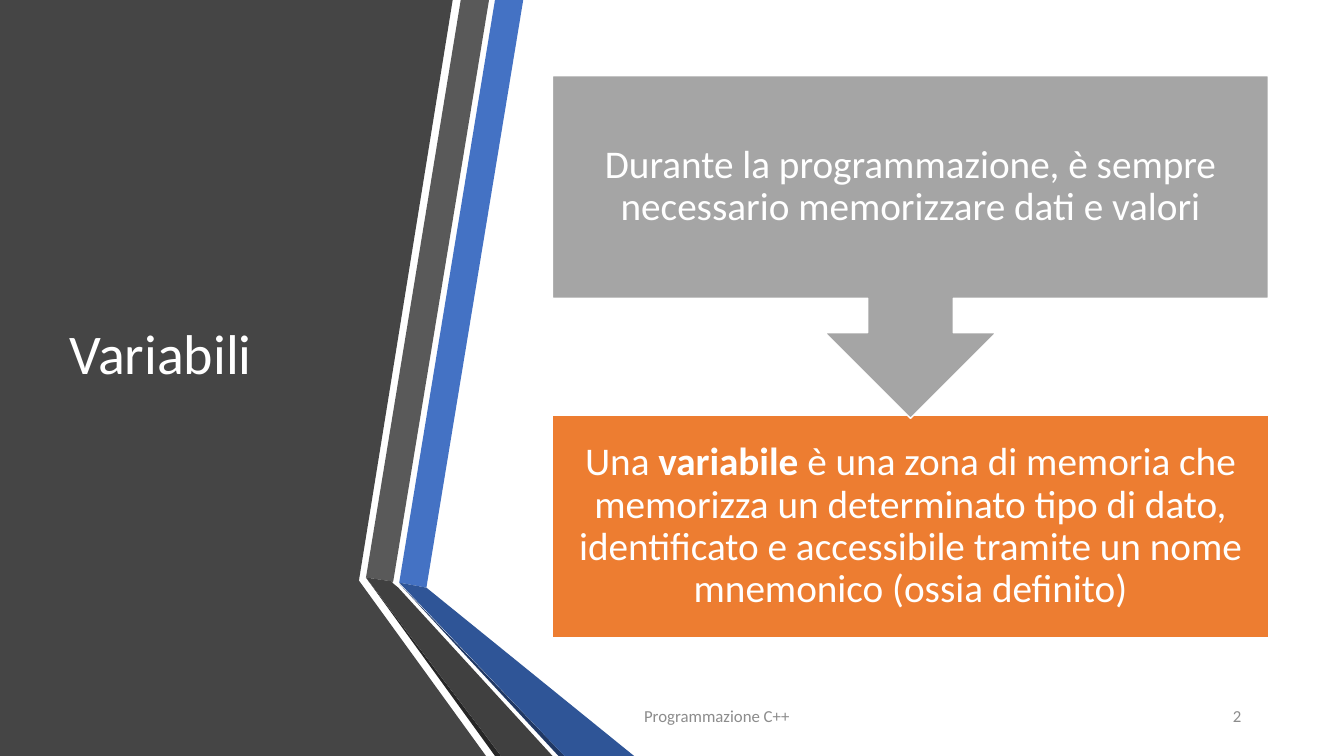
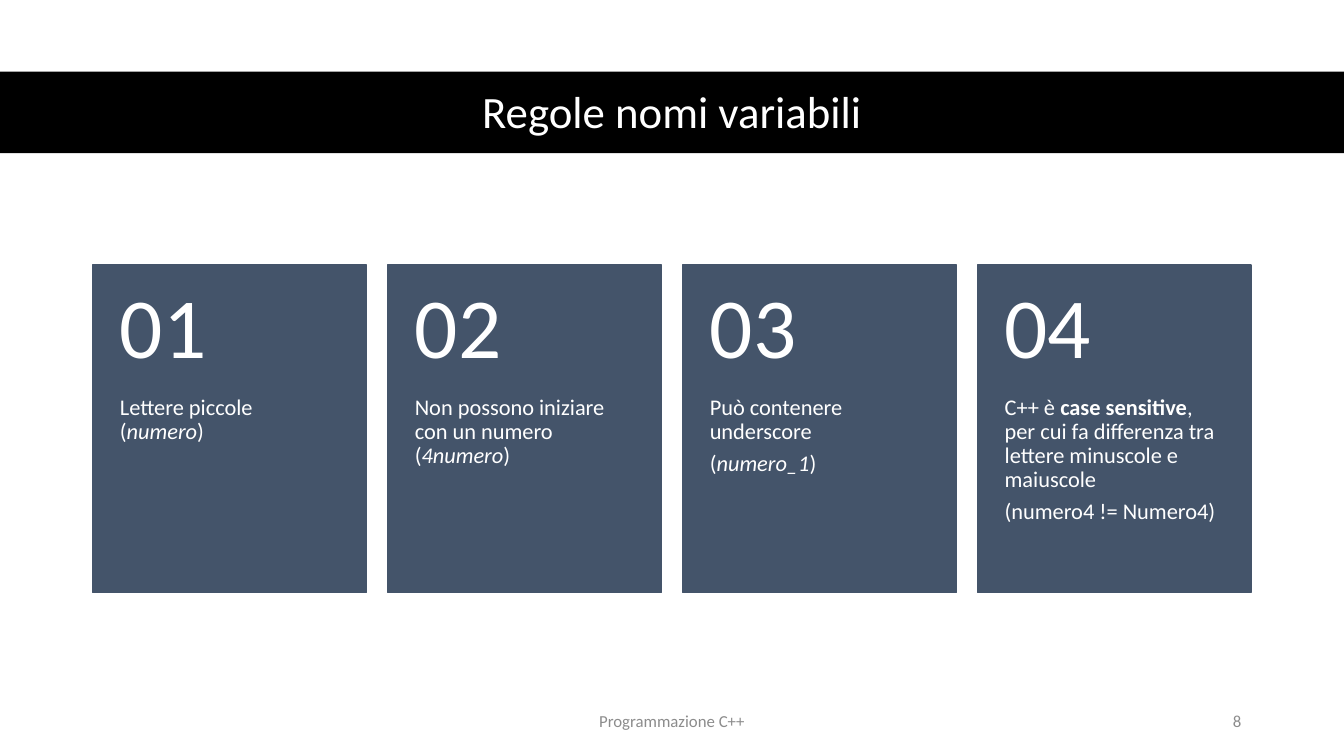
"""Build two slides on variables in C++: their purpose and their naming rules."""
from dataclasses import dataclass

from pptx import Presentation
from pptx import util as u
from pptx.dml.color import RGBColor
from pptx.enum import shapes, text

WIDTH, HEIGHT = 13.33, 7.5
MARGIN = 0.92
CONTENT = WIDTH - 2 * MARGIN
LEFT, CENTER, RIGHT = text.PP_ALIGN.LEFT, text.PP_ALIGN.CENTER, text.PP_ALIGN.RIGHT
TOP, MIDDLE = text.MSO_ANCHOR.TOP, text.MSO_ANCHOR.MIDDLE
RECTANGLE = shapes.MSO_SHAPE.RECTANGLE


@dataclass(frozen=True)
class Theme:
    font: str = "Calibri"
    white: str = "FFFFFF"
    black: str = "000000"
    muted: str = "8C8C8C"
    panel: str = "454545"
    blue: str = "4472C4"
    blue_dark: str = "2F5597"
    blue_edge: str = "203864"
    gray: str = "595959"
    gray_dark: str = "404040"
    gray_edge: str = "262626"
    premise: str = "A5A5A5"
    definition: str = "ED7D31"
    card: str = "44546A"
    side_title: int = 40
    band_title: int = 32
    statement: int = 28
    number: int = 61
    rule: int = 16
    footer: int = 12


THEME = Theme()

RIBBONS = [
    (THEME.panel, [(0, 0), (4.49, 0), (3.56, 5.76), (4.82, 7.5), (0, 7.5)]),
    (THEME.blue, [(3.96, 5.78), (4.23, 5.83), (5.19, 0), (4.91, 0)]),
    (THEME.gray, [(4.85, 0), (4.57, 0), (3.63, 5.73), (3.9, 5.77)]),
    (THEME.gray_edge, [(3.63, 5.73), (4.91, 7.5), (4.97, 7.5)]),
    (THEME.blue_edge, [(3.96, 5.79), (5.54, 7.5), (5.6, 7.5)]),
    (THEME.blue_dark, [(3.96, 5.78), (5.6, 7.5), (6.29, 7.5), (4.23, 5.83)]),
    (THEME.gray_dark, [(5.48, 7.5), (3.95, 5.83), (3.89, 5.78), (3.9, 5.77),
                       (3.63, 5.73), (4.97, 7.5)]),
]

PREMISE = [[("Durante la programmazione, è sempre necessario memorizzare dati e valori", "")]]
DEFINITION = [[
    ("Una ", ""), ("variabile", "b"),
    (" è una zona di memoria che memorizza un determinato tipo di dato, identificato e "
     "accessibile tramite un nome mnemonico (ossia definito)", ""),
]]
RULES = [
    [[("Lettere piccole (", ""), ("numero", "i"), (")", "")]],
    [[("Non possono iniziare con un numero (", ""), ("4numero", "i"), (")", "")]],
    [[("Può contenere underscore", "")], [("(", ""), ("numero_1", "i"), (")", "")]],
    [[("C++ è ", ""), ("case sensitive", "b"),
      (", per cui fa differenza tra lettere minuscole e maiuscole ", "")],
     [("(numero4 != Numero4)", "")]],
]


def inches(*lengths):
    """Convert lengths in inches to slide units."""
    return [u.Inches(length) for length in lengths]


def paint(figure, fill, line=None):
    """Give a shape a flat fill and an optional thin outline."""
    figure.shadow.inherit = False
    figure.fill.solid()
    figure.fill.fore_color.rgb = RGBColor.from_string(fill)
    if line:
        figure.line.color.rgb = RGBColor.from_string(line)
        figure.line.width = u.Pt(1)
    else:
        figure.line.fill.background()


def add_block(slide, kind, box, fill, line=None):
    """Add a painted preset shape."""
    block = slide.shapes.add_shape(kind, *inches(*box))
    paint(block, fill, line)
    return block


def add_ribbon(slide, fill, corners):
    """Add a painted polygon through the given corners."""
    start, *others = [inches(*corner) for corner in corners]
    outline = slide.shapes.build_freeform(*start)
    outline.add_line_segments(others)
    paint(outline.convert_to_shape(), fill)


def add_text(slide, box, paragraphs, size, color=THEME.white, align=LEFT, anchor=MIDDLE,
             insets=(0.1, 0.05, 0.1, 0.05), spacing=0.9, after=0.0):
    """Add wrapped text whose runs are pairs of wording and style."""
    frame = slide.shapes.add_textbox(*inches(*box)).text_frame
    frame.word_wrap = True
    frame.vertical_anchor = anchor
    (frame.margin_left, frame.margin_top,
     frame.margin_right, frame.margin_bottom) = inches(*insets)
    for index, runs in enumerate(paragraphs):
        paragraph = frame.add_paragraph() if index else frame.paragraphs[0]
        paragraph.alignment = align
        paragraph.line_spacing = spacing
        paragraph.space_after = u.Pt(after)
        paragraph.font.name = THEME.font
        paragraph.font.size = u.Pt(size)
        paragraph.font.color.rgb = RGBColor.from_string(color)
        for wording, style in runs:
            run = paragraph.add_run()
            run.text = wording
            if style == "b":
                run.font.bold = True
            elif style == "i":
                run.font.italic = True


def add_title(slide, box, wording, size, align=LEFT):
    """Add the slide title."""
    add_text(slide, box, [[(wording, "")]], size, align=align)


def add_footer(slide, top, left, width, align, number):
    """Add the course name and the slide number."""
    number_width = 3
    entries = [("Programmazione C++", left, width, align),
               (number, WIDTH - MARGIN - number_width, number_width, RIGHT)]
    for wording, start, span, side in entries:
        add_text(slide, (start, top, span, 0.4), [[(wording, "")]], THEME.footer,
                 THEME.muted, side, spacing=1.0, after=6)


def add_statement(slide, box, paragraphs):
    """Add the centred wording of a large block."""
    add_text(slide, box, paragraphs, THEME.statement, align=CENTER,
             insets=(0.22,) * 4, after=0.35 * THEME.statement)


def add_card(slide, left, width, number, rule):
    """Add a numbered rule card."""
    top, height = 2.63, 3.25
    head = 0.4 * height
    add_block(slide, RECTANGLE, (left, top, width, height), THEME.card, THEME.card)
    add_text(slide, (left, top + head, width, height - head), rule, THEME.rule, anchor=TOP,
             insets=(0.27, 0, 0.27, 0.36), after=0.35 * THEME.rule)
    add_text(slide, (left, top, width, head), [[(f"{number:02d}", "")]], THEME.number,
             insets=(0.27, 0.18, 0.27, 0.18), after=0.35 * THEME.number)


def build_variables(slide):
    """Explain why variables exist and what they are."""
    for fill, corners in RIBBONS:
        add_ribbon(slide, fill, corners)
    add_title(slide, (0.59, 0.75, 3.04, 5.58), "Variabili", THEME.side_title)
    add_footer(slide, 6.9, 6.29, 4.26, LEFT, "2")
    left, width, height = 5.48, 7.1, 2.21
    premise_top, definition_top = 0.75, 4.12
    definition_box = (left, definition_top, width, height)
    add_block(slide, RECTANGLE, definition_box, THEME.definition, THEME.white)
    add_statement(slide, definition_box, DEFINITION)
    callout = add_block(slide, shapes.MSO_SHAPE.UP_ARROW_CALLOUT,
                        (left, premise_top, width, 3.4), THEME.premise, THEME.white)
    callout.rotation = 180
    add_statement(slide, (left, premise_top, width, height), PREMISE)


def build_naming_rules(slide):
    """List the naming rules as a row of cards."""
    add_block(slide, RECTANGLE, (0, 0.71, WIDTH, 0.81), THEME.black)
    add_title(slide, (MARGIN, 0.74, CONTENT, 0.78), "Regole nomi variabili",
              THEME.band_title, CENTER)
    footer_width = 4.5
    add_footer(slide, 6.95, (WIDTH - footer_width) / 2, footer_width, CENTER, "8")
    gap = 0.21
    width = (CONTENT - gap * (len(RULES) - 1)) / len(RULES)
    for index, rule in enumerate(RULES):
        add_card(slide, MARGIN + index * (width + gap), width, index + 1, rule)


def main():
    """Build and save the presentation."""
    deck = Presentation()
    deck.slide_width, deck.slide_height = inches(WIDTH, HEIGHT)
    blank = deck.slide_layouts[6]
    for build in (build_variables, build_naming_rules):
        build(deck.slides.add_slide(blank))
    deck.save("out.pptx")


main()
